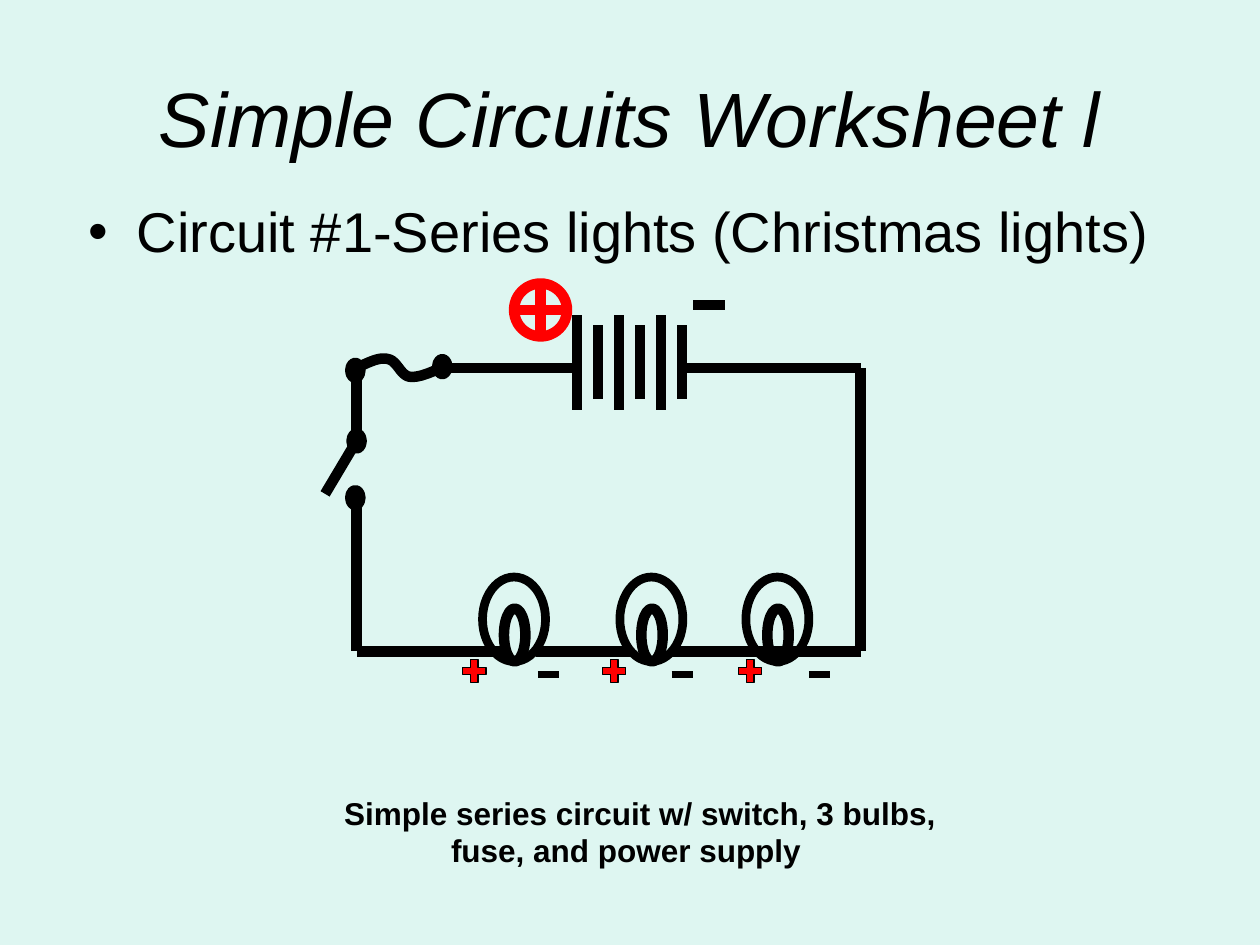
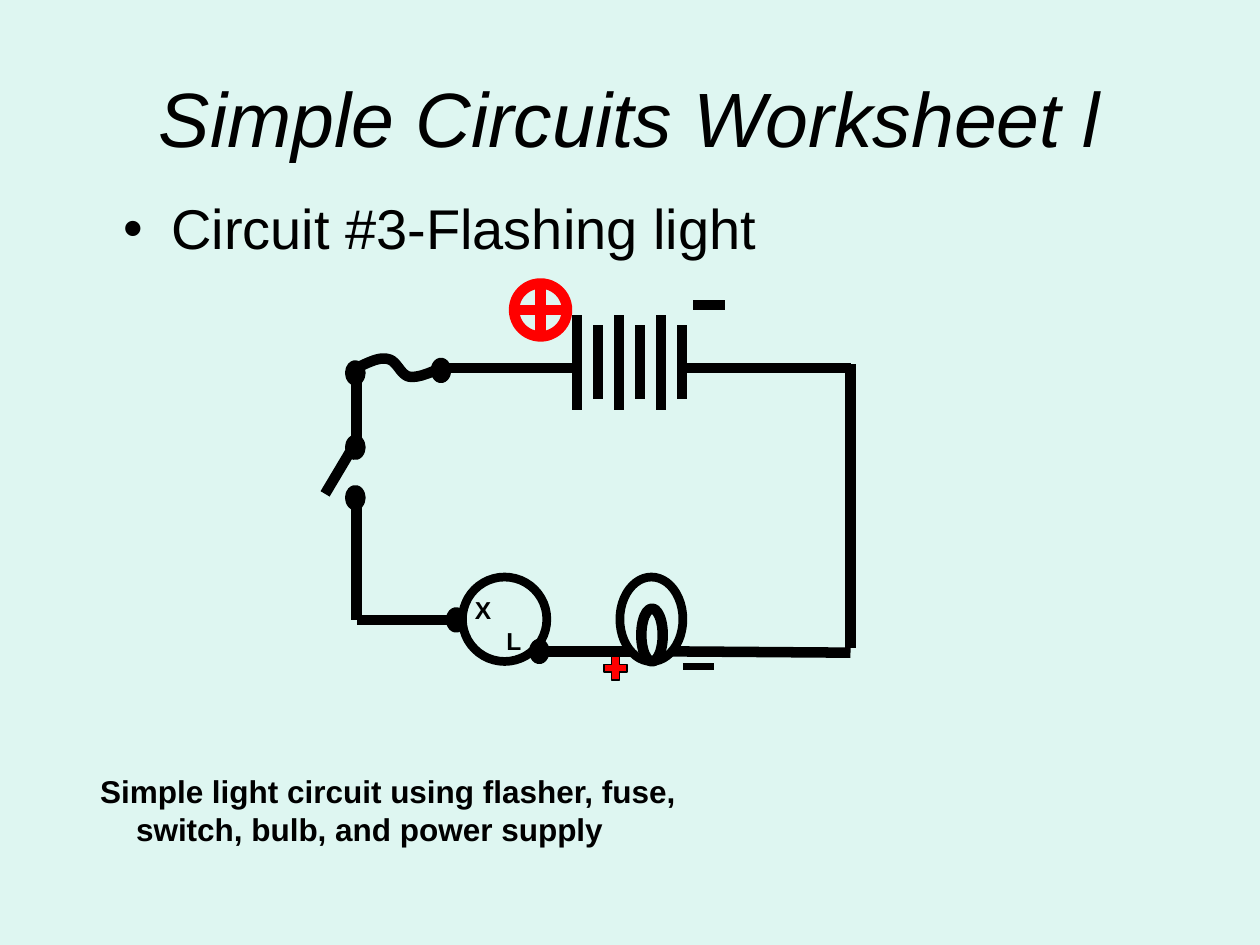
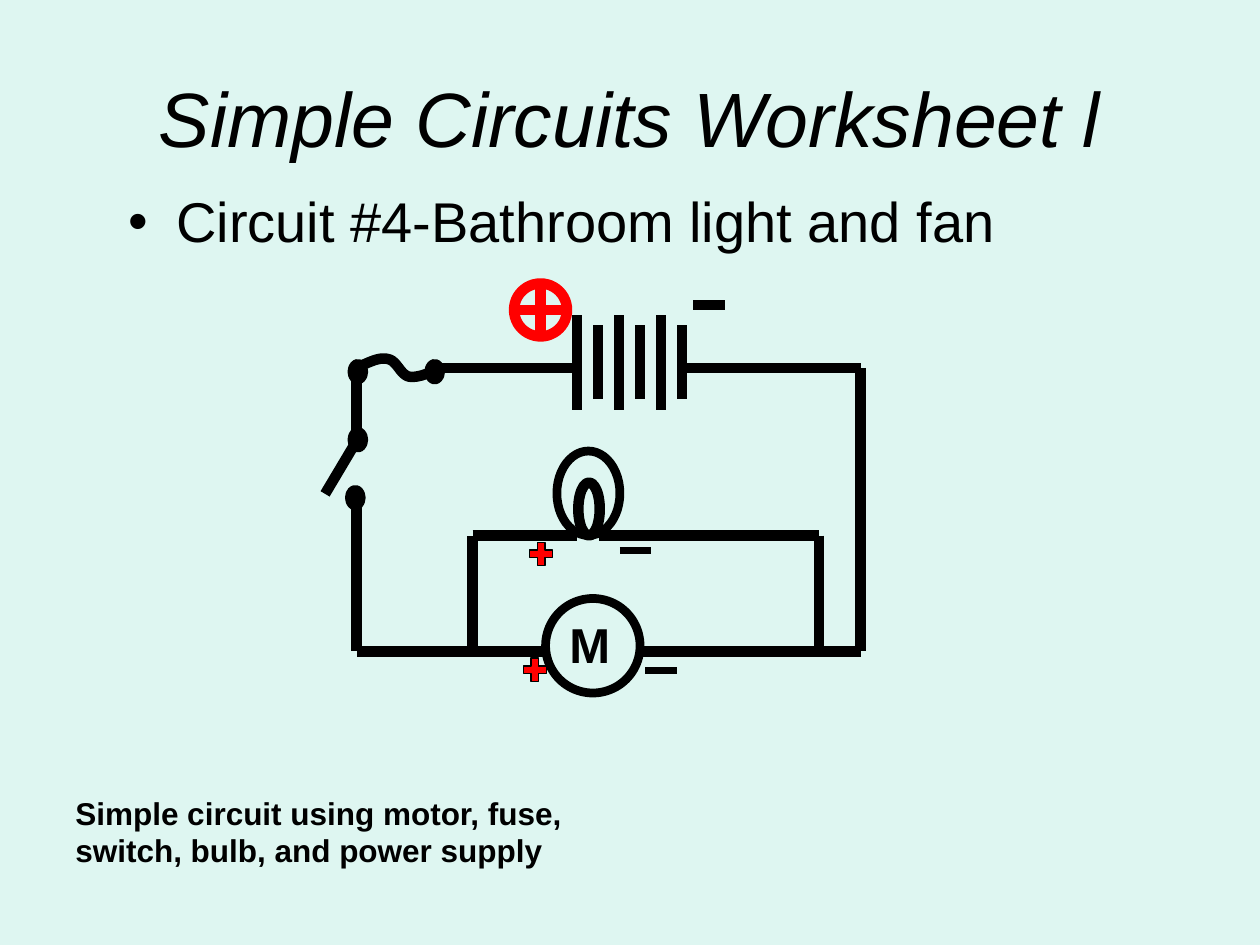
from dataclasses import dataclass
from itertools import pairwise

from lxml import etree
from pptx import Presentation
from pptx.dml.color import RGBColor
from pptx.enum.shapes import MSO_CONNECTOR, MSO_SHAPE
from pptx.enum.text import MSO_ANCHOR, MSO_AUTO_SIZE, PP_ALIGN
from pptx.oxml.ns import qn
from pptx.util import Inches, Pt


@dataclass(frozen=True)
class Theme:
    font: str = "Arial"
    background: RGBColor = RGBColor(0xDE, 0xF6, 0xF1)
    ink: RGBColor = RGBColor(0, 0, 0)
    positive: RGBColor = RGBColor(0xFF, 0, 0)
    title_size: int = 44
    heading_size: int = 32
    motor_size: int = 28
    caption_size: int = 18
    terminal_size: int = 14
    wire: int = 6
    glass: int = 5
    sign: int = 4


THEME = Theme()
TITLE = "Simple Circuits Worksheet l"
TITLE_ONLY = 5

# Corners and terminals shared by the three circuits
LEFT, TOP, BOTTOM = 2.83, 2.92, 5.17
BATTERY_LEFT, BATTERY_RIGHT, PLATE_GAP = 4.58, 5.42, 1 / 6
FUSE_START, FUSE_END = (LEFT, TOP), (3.5, TOP)
FUSE_CURVES = [
    ((2.92, 2.88), (3.01, 2.83), (3.08, 2.85)),
    ((3.15, 2.86), (3.18, 2.98), (3.25, 2.99)),
    ((3.32, 3), (3.41, 2.96), FUSE_END),
]


def add_run(p, text, size, bold=False, italic=False):
    r = p.add_run()
    r.text = text
    font = r.font
    font.name, font.size = THEME.font, Pt(size)
    font.bold, font.italic = bold, italic
    font.color.rgb = THEME.ink


def add_text_box(s, left, top, width, height):
    tf = s.shapes.add_textbox(*map(Inches, (left, top, width, height))).text_frame
    tf.word_wrap = True
    return tf


def add_title(s):
    sp = s.shapes.title
    sp.left, sp.top, sp.width, sp.height = map(Inches, (0.5, 0.3, 9, 1.25))
    tf = sp.text_frame
    tf.vertical_anchor = MSO_ANCHOR.MIDDLE
    p = tf.paragraphs[0]
    p.alignment = PP_ALIGN.CENTER
    add_run(p, TITLE, THEME.title_size, italic=True)


def add_heading(s, text, left, top, width, align=PP_ALIGN.LEFT):
    p = add_text_box(s, left, top, width, 0.58).paragraphs[0]
    p.alignment, p.line_spacing = align, 0.9
    pPr = p._p.get_or_add_pPr()
    pPr.set("marL", str(Inches(0.38)))
    pPr.set("indent", str(-Inches(0.38)))
    etree.SubElement(pPr, qn("a:buFont"), typeface=THEME.font)
    etree.SubElement(pPr, qn("a:buChar"), char="•")
    add_run(p, text, THEME.heading_size)


def add_caption(s, lines, left, top, align=PP_ALIGN.CENTER):
    tf = add_text_box(s, left, top, 5, 0.7)
    tf.auto_size = MSO_AUTO_SIZE.SHAPE_TO_FIT_TEXT
    p = tf.paragraphs[0]
    p.alignment = align
    for i, line in enumerate(lines):
        if i:
            p.add_line_break()
        add_run(p, line, THEME.caption_size, bold=True)


def add_label(s, text, left, top, width, height, size):
    tf = add_text_box(s, left, top, width, height)
    add_run(tf.paragraphs[0], text, size, bold=True)


def style_outline(sp, weight, color=THEME.ink):
    sp.shadow.inherit = False
    sp.fill.background()
    sp.line.color.rgb = color
    sp.line.width = Pt(weight)


def add_outline(s, kind, left, top, width, height, weight, color=THEME.ink):
    sp = s.shapes.add_shape(kind, *map(Inches, (left, top, width, height)))
    style_outline(sp, weight, color)
    return sp


def add_wire(s, *points, weight=THEME.wire):
    """Join each point to the next with a straight line."""
    for start, end in pairwise(points):
        line = s.shapes.add_connector(
            MSO_CONNECTOR.STRAIGHT, *map(Inches, (*start, *end)))
        line.line.color.rgb = THEME.ink
        line.line.width = Pt(weight)
        etree.SubElement(line._element.spPr, qn("a:effectLst"))


def add_minus(s, left, y, width=0.25, weight=THEME.sign):
    add_wire(s, (left, y), (left + width, y), weight=weight)


def add_plus(s, left, top):
    sp = add_outline(s, MSO_SHAPE.MATH_PLUS, left, top, 0.25, 0.25, 0)
    sp.fill.solid()
    sp.fill.fore_color.rgb = THEME.positive


def add_terminals(s, *corners):
    for left, top in corners:
        add_outline(s, MSO_SHAPE.FLOWCHART_CONNECTOR, left, top, 0.08, 0.12, THEME.wire)


def add_bulb(s, left, top):
    add_outline(s, MSO_SHAPE.OVAL, left + 0.17, top + 0.25, 0.17, 0.42, THEME.wire)
    add_outline(s, MSO_SHAPE.OVAL, left, top, 0.5, 0.67, THEME.glass)


def add_round_device(s, left, top, size):
    add_outline(s, MSO_SHAPE.OVAL, left, top, size, size, THEME.glass)


def add_battery(s):
    for i in range(6):
        x = BATTERY_LEFT + i * PLATE_GAP
        y1, y2 = (2.58, 3.17) if i % 2 else (2.5, 3.25)
        add_wire(s, (x, y1), (x, y2))
    add_outline(s, MSO_SHAPE.FLOWCHART_OR, 4.08, 2.25, 0.42, 0.42,
                THEME.wire, THEME.positive)
    add_minus(s, 5.5, 2.42, weight=THEME.wire)


def bezier(a, b, c, d, steps=12):
    """Points along a cubic curve, without its start."""
    for i in range(1, steps + 1):
        t = i / steps
        u = 1 - t
        yield tuple(u**3 * w + 3 * u * u * t * x + 3 * u * t * t * y + t**3 * z
                    for w, x, y, z in zip(a, b, c, d))


def add_fuse(s):
    points = [FUSE_START]
    for curve in FUSE_CURVES:
        points.extend(bezier(points[-1], *curve))
    # The builder rounds to whole units, so it is given EMU
    first, *rest = [(Inches(x), Inches(y)) for x, y in points]
    builder = s.shapes.build_freeform(*first)
    builder.add_line_segments(rest, close=False)
    style_outline(builder.convert_to_shape(), THEME.wire)


def add_supply(s):
    """Battery, fuse and open switch, with the wires between them."""
    add_battery(s)
    add_wire(s, (BATTERY_LEFT, TOP), FUSE_END)
    add_fuse(s)
    add_wire(s, FUSE_START, (LEFT, 3.5), (2.58, 3.92))


def new_slide(prs):
    s = prs.slides.add_slide(prs.slide_layouts[TITLE_ONLY])
    add_title(s)
    add_supply(s)
    return s


def add_series_lights(prs):
    s = new_slide(prs)
    add_heading(s, "Circuit #1-Series lights (Christmas lights)",
                0.33, 1.57, 9.17, PP_ALIGN.CENTER)
    add_wire(s, (BATTERY_RIGHT, TOP), (6.83, TOP), (6.83, BOTTOM))
    add_wire(s, (LEFT, 3.92), (LEFT, BOTTOM), (4, BOTTOM))
    for x1, x2 in ((4.25, 5), (5.33, 6.83)):
        add_wire(s, (x1, BOTTOM), (x2, BOTTOM))
    for bulb, plus, minus in ((3.83, 3.64, 4.27), (4.92, 4.75, 5.33), (5.92, 5.83, 6.42)):
        add_bulb(s, bulb, 4.58)
        add_plus(s, plus, 5.2)
        add_minus(s, minus, 5.35, 0.17)
    add_terminals(s, (2.78, 3.89), (2.79, 3.44), (2.78, 2.88), (3.47, 2.85))
    add_caption(s, ["Simple series circuit w/ switch, 3 bulbs, fuse, and power supply \t"],
                2.58, 6.25)


def add_flashing_light(prs):
    s = new_slide(prs)
    add_heading(s, "Circuit #3-Flashing light", 0.88, 1.55, 6.92)
    add_wire(s, (BATTERY_RIGHT, TOP), (6.75, TOP))
    add_wire(s, (6.75, 2.89), (6.75, 5.14))
    add_wire(s, (LEFT, 4), (LEFT, 4.92), (3.67, 4.92))
    add_wire(s, (4.25, BOTTOM), (5, BOTTOM))
    add_wire(s, (5.33, BOTTOM), (6.75, 5.18))
    add_round_device(s, 3.67, 4.58, 0.67)
    for text, left, top in (("X", 3.67, 4.67), ("L", 3.92, 4.92)):
        add_label(s, text, left, top, 0.33, 0.33, THEME.terminal_size)
    add_bulb(s, 4.92, 4.58)
    add_plus(s, 4.76, 5.18)
    add_minus(s, 5.42, 5.29)
    add_terminals(s, (2.78, 3.89), (2.78, 2.9), (2.78, 3.49),
                  (3.46, 2.88), (3.58, 4.86), (4.24, 5.11))
    add_caption(s, ["Simple light circuit using flasher, fuse, switch, bulb, "
                    "and power supply \t"], 0.58, 6.08)


def add_light_and_fan(prs):
    s = new_slide(prs)
    add_heading(s, "Circuit #4-Bathroom light and fan", 0.92, 1.49, 7.58)
    add_wire(s, (BATTERY_RIGHT, TOP), (6.83, TOP), (6.83, BOTTOM))
    add_wire(s, (LEFT, 3.92), (LEFT, BOTTOM), (4.33, BOTTOM))
    add_wire(s, (5.08, BOTTOM), (6.5, BOTTOM), (6.83, BOTTOM))
    add_wire(s, (3.75, BOTTOM), (3.75, 4.25), (4.58, 4.25))
    add_wire(s, (4.75, 4.25), (6.5, 4.25), (6.5, BOTTOM))
    add_round_device(s, 4.33, 4.75, 0.75)
    add_label(s, "M", 4.42, 4.83, 0.67, 0.57, THEME.motor_size)
    add_bulb(s, 4.42, 3.58)
    add_plus(s, 4.17, 4.27)
    add_plus(s, 4.12, 5.19)
    add_minus(s, 5.12, 5.32)
    add_minus(s, 4.92, 4.37)
    add_terminals(s, (2.8, 2.89), (3.41, 2.89), (2.8, 3.43), (2.78, 3.89))
    add_caption(s, ["Simple circuit using motor, fuse, ",
                    "switch, bulb, and power supply\t"], 0.5, 6.25, PP_ALIGN.LEFT)


def main():
    prs = Presentation()
    prs.slide_width, prs.slide_height = Inches(10), Inches(7.5)
    fill = prs.slide_master.background.fill
    fill.solid()
    fill.fore_color.rgb = THEME.background
    add_series_lights(prs)
    add_flashing_light(prs)
    add_light_and_fan(prs)
    prs.save("out.pptx")


if __name__ == "__main__":
    main()
